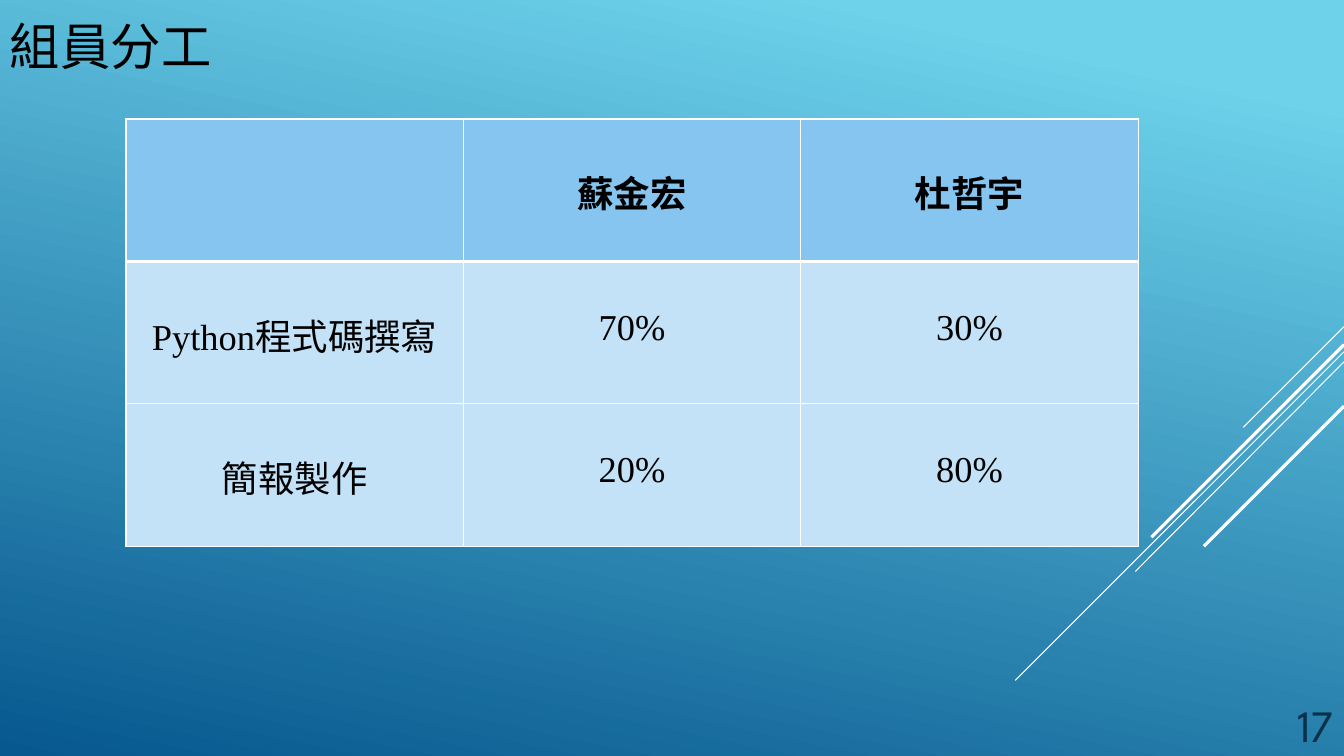
"""Build the slide that shows how the team divided its work."""
import pptx
import pptx.dml.color
import pptx.enum.shapes
import pptx.enum.text
import pptx.oxml
import pptx.oxml.ns
import pptx.util

Inches = pptx.util.Inches
Pt = pptx.util.Pt
RGBColor = pptx.dml.color.RGBColor
Align = pptx.enum.text.PP_ALIGN
Anchor = pptx.enum.text.MSO_ANCHOR

SKY = RGBColor(0x6E, 0xD2, 0xEB)
DEEP_BLUE = RGBColor(0x06, 0x58, 0x8E)
NAVY = RGBColor(0x0A, 0x30, 0x4A)
HEADER_BLUE = RGBColor(0x86, 0xC5, 0xEF)
BODY_BLUE = RGBColor(0xC3, 0xE2, 0xF7)
WHITE = RGBColor(0xFF, 0xFF, 0xFF)
BLACK = RGBColor(0x00, 0x00, 0x00)
CJK_FONT = "Noto Sans CJK SC"
NAMESPACE = pptx.oxml.ns.nsdecls("a")


def write_text(frame, text, size, font="Times New Roman", color=BLACK, bold=False,
               align=Align.LEFT, anchor=Anchor.TOP):
    frame.word_wrap = True
    frame.vertical_anchor = anchor
    paragraph = frame.paragraphs[0]
    paragraph.alignment = align
    run = paragraph.add_run()
    run.text = text
    run.font.size = Pt(size)
    run.font.name = font
    run.font.bold = bold
    run.font.color.rgb = color
    run.font._element.append(pptx.oxml.parse_xml(f'<a:ea {NAMESPACE} typeface="{CJK_FONT}"/>'))


presentation = pptx.Presentation()
presentation.slide_width = Inches(13.33)
presentation.slide_height = Inches(7.5)
slide = presentation.slides.add_slide(presentation.slide_layouts[6])

background = slide.background.fill
background.gradient()
background.gradient_angle = 360 - 102
for stop, position, color in zip(background.gradient_stops, (0.1, 1), (SKY, DEEP_BLUE)):
    stop.position = position
    stop.color.rgb = color

SLIDE_RIGHT = 13.33
for top, left, bottom, width in (
    (3.24, 12.33, 4.24, 0.75),
    (3.49, 10.07, 6.75, 0.75),
    (3.59, 11.26, 5.67, 0.75),
    (3.42, 11.42, 5.33, 2.25),
    (4.03, 11.94, 5.42, 2.25),
):
    streak = slide.shapes.add_connector(
        pptx.enum.shapes.MSO_CONNECTOR.STRAIGHT,
        Inches(SLIDE_RIGHT), Inches(top), Inches(left), Inches(bottom))
    streak.line.color.rgb = WHITE
    streak.line.width = Pt(width)
    streak._element.spPr.append(pptx.oxml.parse_xml(f"<a:effectLst {NAMESPACE}/>"))

title = slide.shapes.add_textbox(0, 0, Inches(11.5), Inches(0.9))
write_text(title.text_frame, "組員分工", 36, font=CJK_FONT, anchor=Anchor.MIDDLE)

work_shares = (
    ("", "蘇金宏", "杜哲宇"),
    ("Python程式碼撰寫", "70%", "30%"),
    ("簡報製作", "20%", "80%"),
)
table = slide.shapes.add_table(
    3, 3, Inches(1.25), Inches(1.18), Inches(10.04), Inches(4.24)).table
for row_index, row in enumerate(work_shares):
    is_header = row_index == 0
    border_widths = {"L": 1, "R": 1, "T": 3 if row_index == 1 else 1, "B": 3 if is_header else 1}
    for column_index, text in enumerate(row):
        cell = table.cell(row_index, column_index)
        cell_properties = cell._tc.get_or_add_tcPr()
        for side, width in border_widths.items():
            cell_properties.append(pptx.oxml.parse_xml(
                f'<a:ln{side} {NAMESPACE} w="{Pt(width)}"><a:solidFill>'
                f'<a:srgbClr val="{WHITE}"/></a:solidFill></a:ln{side}>'))
        cell.fill.solid()
        cell.fill.fore_color.rgb = HEADER_BLUE if is_header else BODY_BLUE
        cell.margin_top = Inches(0.46)
        if text:
            write_text(cell.text_frame, text, 26, bold=is_header, align=Align.CENTER)

page_number = slide.shapes.add_textbox(Inches(12.49), Inches(7.1), Inches(0.84), Inches(0.4))
write_text(page_number.text_frame, "17", 32, font="League Spartan", color=NAVY,
           align=Align.RIGHT, anchor=Anchor.BOTTOM)

presentation.save("out.pptx")
